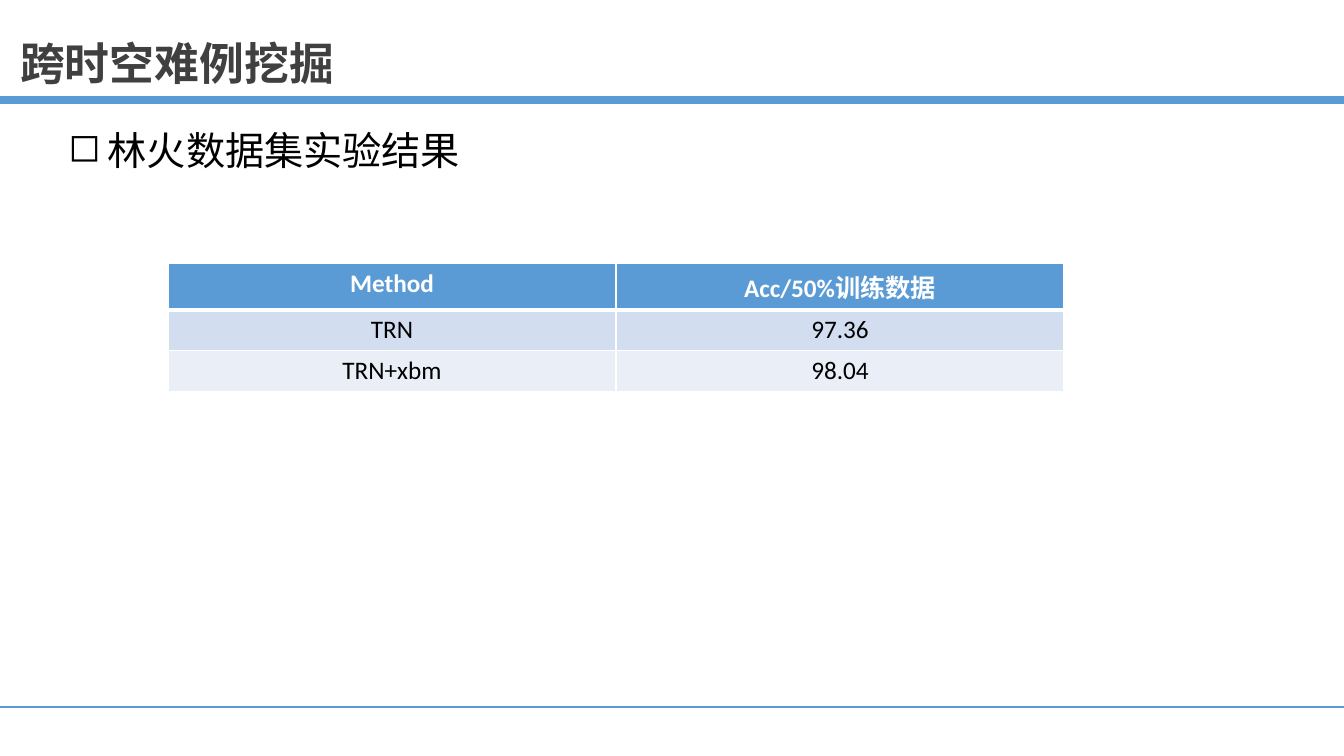
import pptx
import pptx.dml.color
import pptx.enum.shapes
import pptx.enum.text
import pptx.oxml.ns
import pptx.util
from lxml import etree

COLORS = {
    "accent": "5B9BD5",
    "title": "404040",
    "text": "000000",
    "white": "FFFFFF",
    "band_dark": "D2DEEF",
    "band_light": "EAEFF7",
}
CHINESE_FONT = "Noto Sans CJK SC"
TABLE_FONT = "Calibri"
WIDTH = pptx.util.Inches(13.33)
HEIGHT = pptx.util.Inches(7.5)
RESULTS = [
    ("Method", "Acc/50%训练数据"),
    ("TRN", "97.36"),
    ("TRN+xbm", "98.04"),
]
ROW_FILLS = ["accent", "band_dark", "band_light"]


def color(name):
    return pptx.dml.color.RGBColor.from_string(COLORS[name])


def add_element(parent, tag, **attributes):
    return etree.SubElement(parent, pptx.oxml.ns.qn(tag), attributes)


def write_text(frame, text, *, size, font, fill, bold=False, align="LEFT"):
    para = frame.paragraphs[0]
    para.alignment = getattr(pptx.enum.text.PP_ALIGN, align)
    span = para.add_run()
    span.text = text
    span.font.size = pptx.util.Pt(size)
    span.font.name = font
    span.font.bold = bold
    span.font.color.rgb = color(fill)
    if font == CHINESE_FONT:
        add_element(span.font._element, "a:ea", typeface=font)
    return para


def fit_frame(frame):
    """Keep text on one line, starting at the top of its box."""
    frame.word_wrap = False
    frame.auto_size = pptx.enum.text.MSO_AUTO_SIZE.NONE
    frame.vertical_anchor = pptx.enum.text.MSO_ANCHOR.TOP


def add_title(page, text):
    title = page.shapes.title
    title.left, title.top = int(WIDTH * 0.0075), int(HEIGHT * 0.04)
    title.width, title.height = int(WIDTH * 0.25), int(HEIGHT * 0.085)
    fit_frame(title.text_frame)
    write_text(title.text_frame, text, size=32, font=CHINESE_FONT,
               fill="title", bold=True)


def add_rule(page, share, weight):
    """Draw a line across the whole slide at a share of its height."""
    y = int(HEIGHT * share)
    rule = page.shapes.add_connector(
        pptx.enum.shapes.MSO_CONNECTOR.STRAIGHT, 0, y, WIDTH, y)
    rule.line.color.rgb = color("accent")
    rule.line.width = pptx.util.Pt(weight)
    add_element(rule._element.spPr, "a:effectLst")


def add_bullet(page, text):
    box = page.shapes.add_textbox(int(WIDTH * 0.0435), int(HEIGHT * 0.161),
                                  int(WIDTH * 0.315), int(HEIGHT * 0.076))
    fit_frame(box.text_frame)
    para = write_text(box.text_frame, text, size=28, font=CHINESE_FONT, fill="text")
    properties = para._p.get_or_add_pPr()
    indent = pptx.util.Inches(0.39)
    properties.set("marL", str(indent))
    properties.set("indent", str(-indent))
    add_element(properties, "a:buChar", char="◻")


def add_border(cell, side, weight):
    border = add_element(cell._tc.get_or_add_tcPr(), f"a:ln{side}",
                         w=str(pptx.util.Pt(weight)))
    fill = add_element(border, "a:solidFill")
    add_element(fill, "a:srgbClr", val=COLORS["white"])


def add_results(page):
    frame = page.shapes.add_table(
        len(RESULTS), len(RESULTS[0]), int(WIDTH / 8), int(HEIGHT * 0.348),
        int(WIDTH * 2 / 3), int(HEIGHT * 0.162))
    for row, values in enumerate(RESULTS):
        header = row == 0
        for column, value in enumerate(values):
            cell = frame.table.cell(row, column)
            for side in "LRTB":
                heavy = (header and side == "B") or (row == 1 and side == "T")
                add_border(cell, side, 3 if heavy else 1)
            cell.fill.solid()
            cell.fill.fore_color.rgb = color(ROW_FILLS[row])
            write_text(cell.text_frame, value, size=18, font=TABLE_FONT,
                       fill="white" if header else "text", bold=header,
                       align="CENTER")


def main():
    deck = pptx.Presentation()
    deck.slide_width, deck.slide_height = WIDTH, HEIGHT
    page = deck.slides.add_slide(deck.slide_layouts[5])
    add_title(page, "跨时空难例挖掘")
    add_rule(page, 0.935, 1.5)
    add_rule(page, 0.132, 6)
    add_bullet(page, "林火数据集实验结果")
    add_results(page)
    deck.save("out.pptx")


if __name__ == "__main__":
    main()
